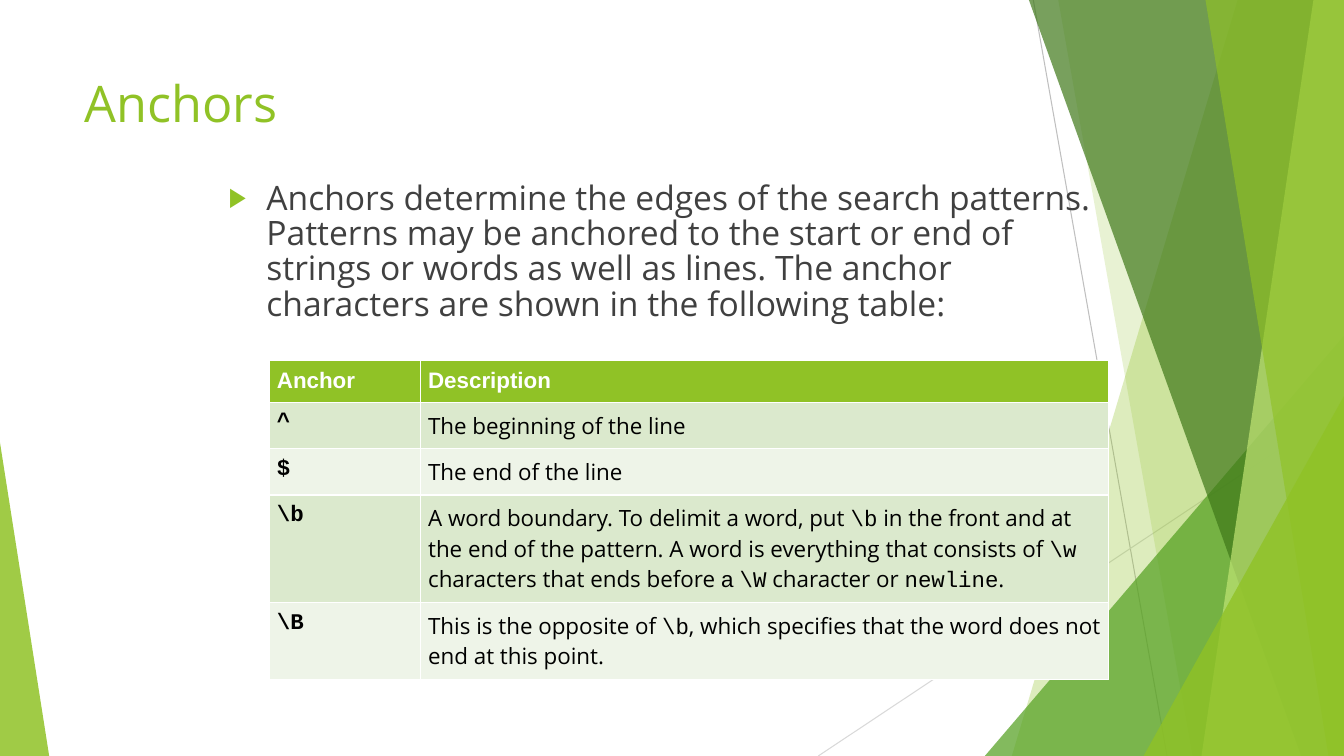
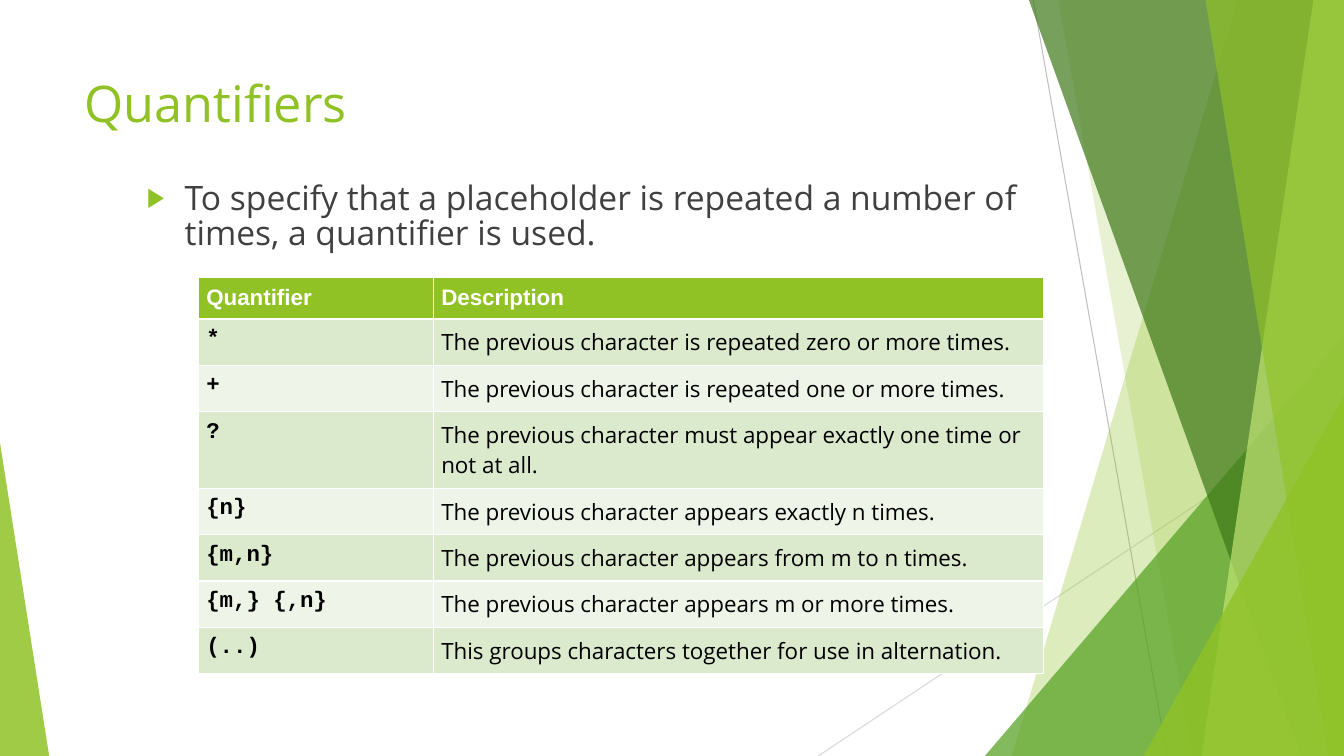
from lxml import etree
from pptx import Presentation
from pptx.dml.color import RGBColor
from pptx.enum.shapes import MSO_CONNECTOR, MSO_SHAPE
from pptx.enum.text import MSO_ANCHOR, MSO_AUTO_SIZE, PP_ALIGN
from pptx.oxml.ns import qn
from pptx.util import Cm, Pt

TRIANGLE = MSO_SHAPE.ISOSCELES_TRIANGLE
STRAIGHT = MSO_CONNECTOR.STRAIGHT
TOP = MSO_ANCHOR.TOP
LEFT = PP_ALIGN.LEFT
NO_AUTOFIT = MSO_AUTO_SIZE.NONE

COLORS = {
    "lime": "90C226", "green": "54A021", "forest": "3F7819", "pale": "C0E474",
    "white": "FFFFFF", "black": "000000", "text": "404040",
    "gray": "BFBFBF", "light gray": "D9D9D9",
    "odd row": "DBE9CD", "even row": "EEF4E8",
}
BODY_FONT, HEADER_FONT, CODE_FONT = "Open Sans", "Arial", "Courier New"
WIDTH, HEIGHT = 33.87, 19.05
ROW_HEIGHT = 1.05

# Back to front: a band holds its top and bottom x, a triangle its left, top, width and tip
FACETS = [
    ("band", (31.19, 25.5), "lime", 30),
    ("band", (26.67, 30.05), "lime", 20),
    ("triangle", (24.82, 8.46, 9.05, 1), "green", 72),
    ("band", (25.93, 32.79), "forest", 70),
    ("band", (33.1, 30.28), "pale", 70),
    ("band", (30.38, 33.48), "lime", 65),
    ("triangle", (28.82, 9.98, 5.05, 1), "lime", 80),
    ("triangle", (0, 11.15, 1.24, 0), "lime", 85),
]
RULES = [
    ((26.04, 0, 29.41, HEIGHT), "gray"),
    ((WIDTH, 10.24, 20.62, HEIGHT), "light gray"),
]

# A description is plain text or a list of (text, font) runs
SLIDES = [
    {
        "title": "Anchors",
        "body": "Anchors determine the edges of the search patterns. Patterns may be "
                "anchored to the start or end of strings or words as well as lines. "
                "The anchor characters are shown in the following table:",
        "body box": (5.51, 4.45, 22.86, 4.45),
        "table at": (6.78, 9.09),
        "columns": (3.81, 17.35),
        "rows": [
            ("Anchor", "Description"),
            ("^", "The beginning of the line"),
            ("$", "The end of the line"),
            ("\\b", [
                ("A word boundary. To delimit a word, put ", BODY_FONT),
                ("\\b", CODE_FONT),
                (" in the front and at the end of the pattern. A word is "
                 "everything that consists of ", BODY_FONT),
                ("\\w", CODE_FONT),
                (" characters that ends before ", BODY_FONT),
                ("a ", HEADER_FONT),
                ("\\W", CODE_FONT),
                (" character or ", BODY_FONT),
                ("newline", CODE_FONT),
                (".", BODY_FONT),
            ]),
            ("\\B", [
                ("This is the opposite of ", BODY_FONT),
                ("\\b", CODE_FONT),
                (", which specifies that the word does not end at this point.", BODY_FONT),
            ]),
        ],
    },
    {
        "title": "Quantifiers",
        "body": "To specify that a placeholder is repeated a number of times, "
                "a quantifier is used.",
        "body box": (3.45, 4.45, 24.92, 2.54),
        "table at": (5, 6.99),
        "columns": (5.92, 15.37),
        "rows": [
            ("Quantifier", "Description"),
            ("*", "The previous character is repeated zero or more times."),
            ("+", "The previous character is repeated one or more times."),
            ("?", "The previous character must appear exactly one time or not at all."),
            ("{n}", "The previous character appears exactly n times."),
            ("{m,n}", "The previous character appears from m to n times."),
            ("{m,} {,n}", "The previous character appears m or more times."),
            ("(..)", "This groups characters together for use in alternation."),
        ],
    },
]


def style_font(font, name, size, color, bold=False):
    """Set the typeface, size, colour and weight of a font."""
    font.name, font.size, font.bold = name, Pt(size), bold
    font.color.rgb = RGBColor.from_string(COLORS[color])


def place_text(placeholder, box, text):
    """Position a placeholder, fill it with text and return its paragraph."""
    placeholder.left, placeholder.top, placeholder.width, placeholder.height = map(Cm, box)
    frame = placeholder.text_frame
    frame.text = text
    frame.auto_size = NO_AUTOFIT
    frame.vertical_anchor = TOP
    paragraph = frame.paragraphs[0]
    paragraph.alignment = LEFT
    return paragraph


presentation = Presentation()
presentation.slide_width, presentation.slide_height = Cm(WIDTH), Cm(HEIGHT)
layout = presentation.slide_layouts[1]
slides = [presentation.slides.add_slide(layout) for _ in SLIDES]

# Shared decoration: drawn as a group, then moved to the layout
decoration = slides[0].shapes.add_group_shape()
for ends, color in RULES:
    rule = decoration.shapes.add_connector(STRAIGHT, *map(Cm, ends))
    rule.line.color.rgb = RGBColor.from_string(COLORS[color])
    rule.line.width = Pt(0.75)
    etree.SubElement(rule.element.spPr, qn("a:effectLst"))

for kind, geometry, color, opacity in FACETS:
    if kind == "band":
        top_x, bottom_x = geometry
        builder = decoration.shapes.build_freeform(Cm(top_x), 0)
        builder.add_line_segments([
            (Cm(WIDTH), 0), (Cm(WIDTH), Cm(HEIGHT)), (Cm(bottom_x), Cm(HEIGHT)),
        ])
        facet = builder.convert_to_shape()
    else:
        left, top, width, tip = geometry
        facet = decoration.shapes.add_shape(
            TRIANGLE, Cm(left), Cm(top), Cm(width), Cm(HEIGHT - top))
        facet.adjustments[0] = tip
    facet.shadow.inherit = False
    facet.line.fill.background()
    facet.fill.solid()
    facet.fill.fore_color.rgb = RGBColor.from_string(COLORS[color])
    fill_color = facet.element.spPr.find(".//" + qn("a:srgbClr"))
    etree.SubElement(fill_color, qn("a:alpha"), val=str(opacity * 1000))
layout.shapes.element.insert(2, decoration.element)

for slide, content in zip(slides, SLIDES):
    title = place_text(slide.shapes.title, (1.88, 1.7, 23.88, 3.66), content["title"])
    style_font(title.font, BODY_FONT, 36, "lime")

    body = place_text(slide.placeholders[1], content["body box"], content["body"])
    body.line_spacing = 0.88
    body.space_before = Pt(10)
    properties = body._p.get_or_add_pPr()
    properties.set("marL", str(Cm(0.95)))
    properties.set("indent", str(-Cm(0.95)))
    bullet_color = etree.SubElement(properties, qn("a:buClr"))
    etree.SubElement(bullet_color, qn("a:srgbClr"), val=COLORS["lime"])
    etree.SubElement(properties, qn("a:buSzPct"), val="80000")
    etree.SubElement(properties, qn("a:buFont"), typeface=HEADER_FONT)
    etree.SubElement(properties, qn("a:buChar"), char="▶")
    style_font(body.font, BODY_FONT, 24, "text")

    rows, columns = content["rows"], content["columns"]
    left, top = content["table at"]
    table = slide.shapes.add_table(
        len(rows), len(columns), Cm(left), Cm(top),
        Cm(sum(columns)), Cm(ROW_HEIGHT * len(rows))).table
    for column, width in zip(table.columns, columns):
        column.width = Cm(width)
    for row_index, row in enumerate(rows):
        is_header = row_index == 0
        fill = "lime" if is_header else "odd row" if row_index % 2 else "even row"
        for column_index, text in enumerate(row):
            cell = table.cell(row_index, column_index)
            cell.fill.solid()
            cell.fill.fore_color.rgb = RGBColor.from_string(COLORS[fill])
            cell.margin_left = cell.margin_right = Cm(0.2)
            cell.margin_top = cell.margin_bottom = Cm(0.2)
            is_code = column_index == 0
            font_name = HEADER_FONT if is_header else CODE_FONT if is_code else BODY_FONT
            paragraph = cell.text_frame.paragraphs[0]
            style_font(paragraph.font, font_name, 16,
                       "white" if is_header else "black", is_header or is_code)
            if isinstance(text, str):
                paragraph.add_run().text = text
            else:
                for run_text, run_font in text:
                    run = paragraph.add_run()
                    run.text = run_text
                    run.font.name = run_font

presentation.save("out.pptx")
